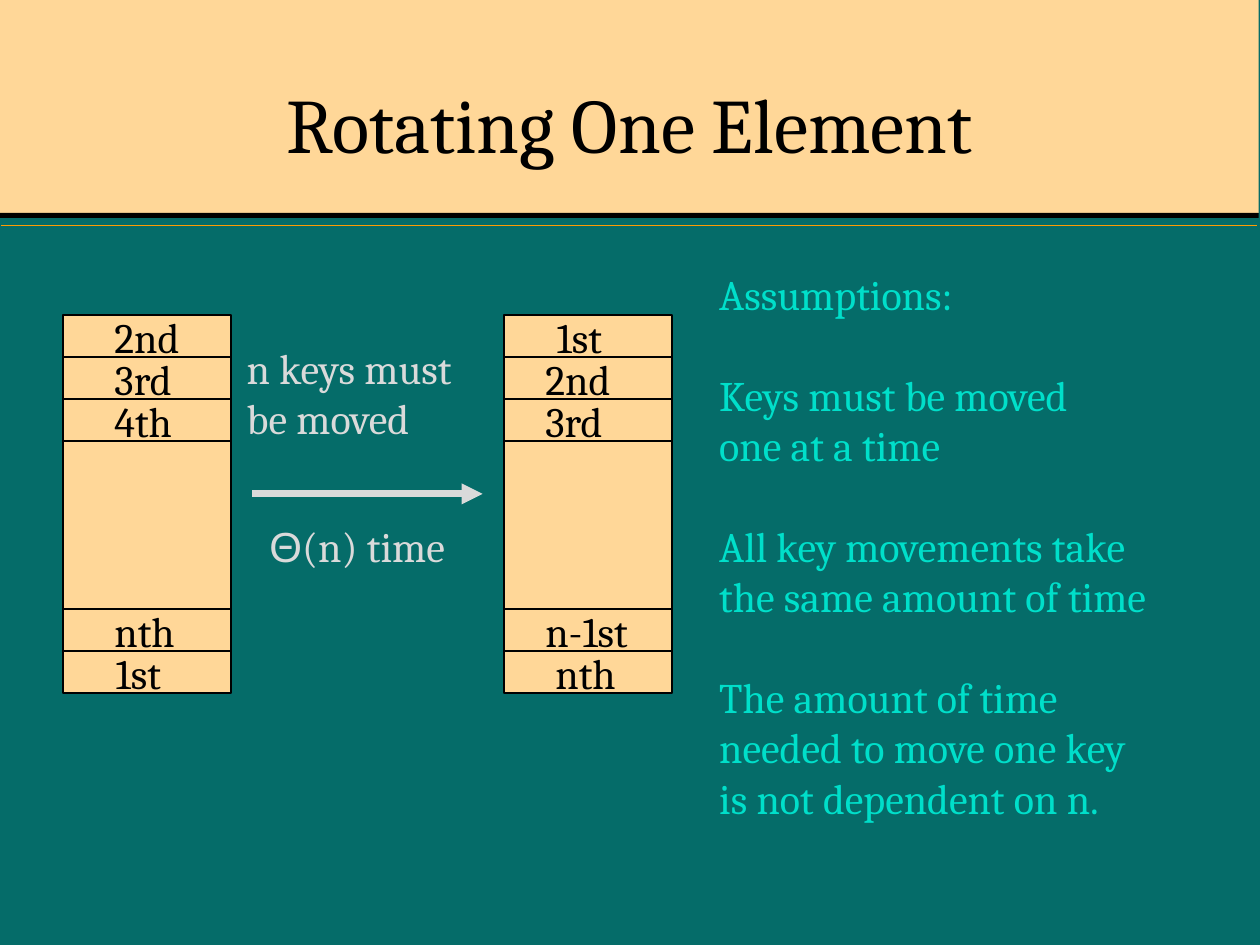
from lxml import etree
from pptx import Presentation
from pptx import util as u
from pptx.dml.color import RGBColor
from pptx.enum import shapes, text
from pptx.oxml.ns import qn

TEAL, SAND, BLACK, GOLD = "056C69", "FFD798", "000000", "FE9B03"
GREY, AQUA = "DADADA", "00DFCA"
FONT = "Cambria"

TITLE = "Rotating One Element"
ROW, TOP, WIDTH = 1 / 3, 2.5, 4 / 3
ROW_SPANS = [1, 1, 1, 4, 1, 1]
COLUMNS = [
    (0.5, [("2nd", 0.81, 0.8), ("3rd", 0.81, 0.75), ("4th", 0.81, 0.71),
           None, ("nth", 0.81, 0.74), ("1st", 0.82, 0.65)]),
    (4, [("1st", 4.32, 0.65), ("2nd", 4.23, 0.8), ("3rd", 4.23, 0.75),
         None, ("n-1st", 4.23, 0.97), ("nth", 4.31, 0.74)]),
]
KEYS_MOVED = [["n keys must", "be moved"]]
ASSUMPTIONS = [
    ["Assumptions:"],
    ["Keys must be moved", "one at a time"],
    ["All key movements take", "the same amount of time"],
    ["The amount of time", "needed to move one key", "is not dependent on n."],
]


def rgb(value):
    return RGBColor.from_string(value)


def add_run(p, words, color, size=24, font=FONT):
    r = p.add_run()
    r.text = words
    r.font.size = u.Pt(size)
    r.font.name = font
    r.font.color.rgb = rgb(color)


def add_box(s, left, top, width, height, fill, line=None):
    sp = s.shapes.add_shape(shapes.MSO_SHAPE.RECTANGLE,
                            *map(u.Inches, (left, top, width, height)))
    sp.shadow.inherit = False
    sp.fill.solid()
    sp.fill.fore_color.rgb = rgb(fill)
    if line:
        sp.line.color.rgb = rgb(line)
        sp.line.width = u.Pt(1)
    else:
        sp.line.fill.background()


def add_line(s, x1, x2, y, color, width):
    c = s.shapes.add_connector(shapes.MSO_CONNECTOR.STRAIGHT,
                               *map(u.Inches, (x1, y, x2, y)))
    c.line.color.rgb = rgb(color)
    c.line.width = u.Pt(width)
    etree.SubElement(c.element.spPr, qn("a:effectLst"))
    return c


def add_text(s, left, top, width, height, groups, color):
    sp = s.shapes.add_textbox(*map(u.Inches, (left, top, width, height)))
    tf = sp.text_frame
    tf.word_wrap = False
    tf.auto_size = text.MSO_AUTO_SIZE.SHAPE_TO_FIT_TEXT
    p = tf.paragraphs[0]
    for g, group in enumerate(groups):
        for i, line in enumerate(group):
            if g or i:
                p = tf.add_paragraph()
            if g and not i:
                p.space_before = u.Pt(28.8)
            runs = [(line, FONT)] if isinstance(line, str) else line
            for words, font in runs:
                add_run(p, words, color, font=font)


def add_title(s):
    sp = s.shapes.title
    sp.left, sp.top, sp.width, sp.height = map(u.Inches, (0.75, 0.37, 8.5, 1.21))
    tf = sp.text_frame
    tf.vertical_anchor = text.MSO_ANCHOR.MIDDLE
    p = tf.paragraphs[0]
    p.alignment = text.PP_ALIGN.CENTER
    add_run(p, TITLE, BLACK, size=44)
    sp.element.getparent().append(sp.element)


def add_column(s, left, labels):
    y = TOP
    tops = []
    for span in ROW_SPANS:
        add_box(s, left, y, WIDTH, span * ROW, SAND, BLACK)
        tops.append(y)
        y += span * ROW
    for label, top in zip(labels, tops):
        if label:
            words, x, width = label
            add_text(s, x, top - 0.08, width, 0.5, [[words]], BLACK)


def main():
    prs = Presentation()
    prs.slide_width, prs.slide_height = u.Inches(10), u.Inches(7.5)
    s = prs.slides.add_slide(prs.slide_layouts[5])
    s.background.fill.solid()
    s.background.fill.fore_color.rgb = rgb(TEAL)

    add_box(s, 0, 0, 9.99, 1.69, SAND)
    add_box(s, 0, 1.69, 9.99, 0.04, BLACK)
    add_line(s, 0.01, 9.98, 1.79, GOLD, 1)
    add_title(s)

    for left, labels in COLUMNS:
        add_column(s, left, labels)

    arrow = add_line(s, 2, 3.83, 3.92, GREY, 4)
    etree.SubElement(arrow.line._get_or_add_ln(), qn("a:tailEnd"), type="triangle")
    add_text(s, 1.86, 2.67, 2.09, 0.9, KEYS_MOVED, GREY)
    add_text(s, 2.04, 4.08, 1.69, 0.5, [[[("Θ", "Arial"), ("(n) time", FONT)]]], GREY)
    add_text(s, 5.61, 2.08, 4.15, 4.5, ASSUMPTIONS, AQUA)

    prs.save("out.pptx")


if __name__ == "__main__":
    main()
